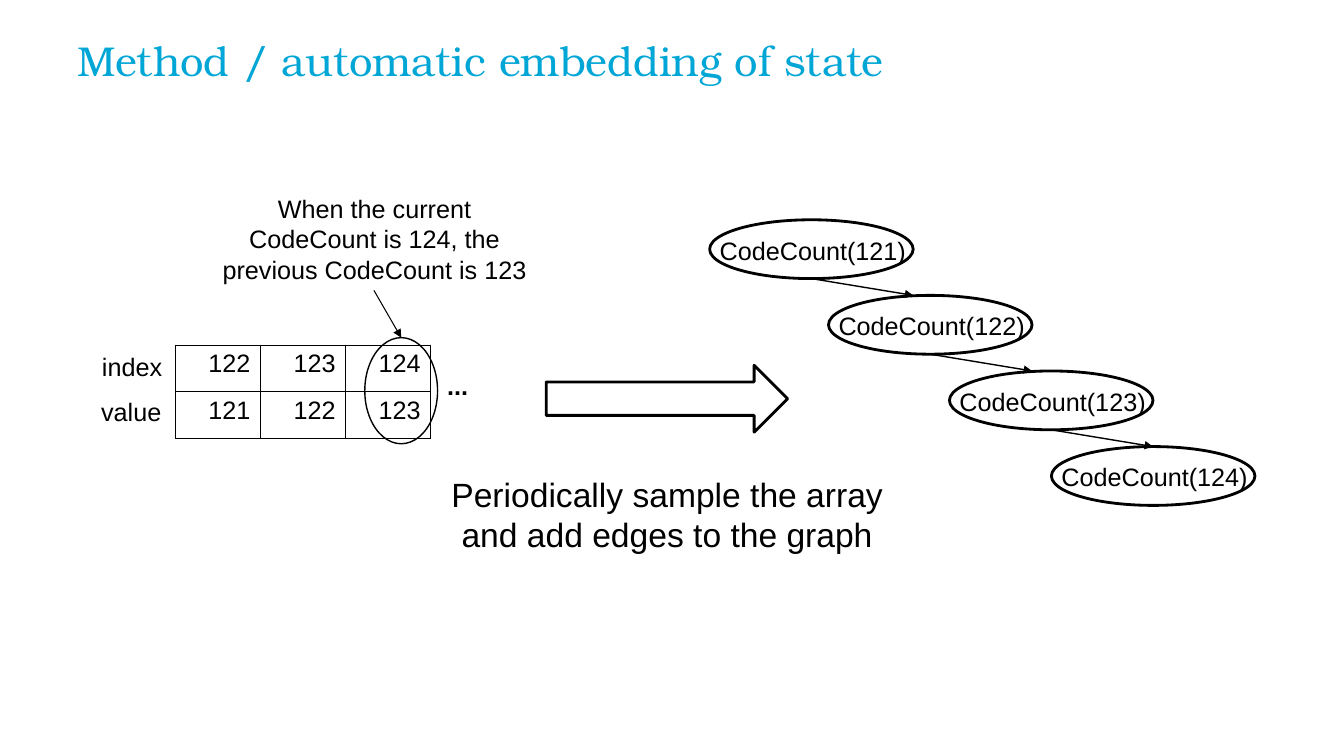
from dataclasses import dataclass
from itertools import pairwise

from lxml.etree import SubElement
from pptx import Presentation
from pptx.dml.color import RGBColor
from pptx.enum.shapes import MSO_CONNECTOR as Connector
from pptx.enum.shapes import MSO_SHAPE as Preset
from pptx.enum.text import MSO_ANCHOR as Anchor
from pptx.enum.text import MSO_AUTO_SIZE as AutoSize
from pptx.enum.text import PP_ALIGN as Align
from pptx.oxml.ns import qn
from pptx.slide import Slide
from pptx.text.text import TextFrame
from pptx.util import Pt


@dataclass(frozen=True)
class Theme:
    ink: RGBColor = RGBColor(0x00, 0x00, 0x00)
    paper: RGBColor = RGBColor(0xFF, 0xFF, 0xFF)
    accent: RGBColor = RGBColor(0x00, 0xA6, 0xD6)
    title_font: str = "TeX Gyre Bonum"
    text_font: str = "Arial"
    title_size: float = 29.8
    caption_size: float = 24
    label_size: float = 18


@dataclass(frozen=True)
class Box:
    left: float
    top: float
    width: float
    height: float

    def lengths(self) -> tuple[Pt, Pt, Pt, Pt]:
        return Pt(self.left), Pt(self.top), Pt(self.width), Pt(self.height)


@dataclass(frozen=True)
class Label:
    text: str
    box: Box
    size: float
    bold: bool = False


@dataclass(frozen=True)
class Outline:
    preset: Preset
    box: Box
    weight: float
    fill: RGBColor | None = None


@dataclass(frozen=True)
class Edge:
    start: tuple[float, float]
    end: tuple[float, float]
    weight: float


@dataclass(frozen=True)
class Node:
    count: int
    box: Box

    def label(self) -> Label:
        box = Box(self.box.left - 5.8, self.box.top + 7.2, 159, 29)
        return Label(f"CodeCount({self.count})", box, THEME.label_size)

    def edge_to(self, follower: "Node") -> Edge:
        box = self.box
        start = (box.left + box.width / 2, box.top + box.height)
        return Edge(start, (box.left + box.width, follower.box.top), 1)


THEME = Theme()
NODE_LEFTS = (506.9, 591.8, 678.2, 751)
NODES = [Node(121 + i, Box(left, 157 + 54 * i, 145.4, 42)) for i, left in enumerate(NODE_LEFTS)]
SAMPLES = (("122", "123", "124"), ("121", "122", "123"))
SAMPLE_BOX = Box(125.3, 246.5, 182.4, 66.8)

LABELS = (
    Label("When the current CodeCount is 124, the previous CodeCount is 123",
          Box(149, 134.6, 237, 72.7), THEME.label_size),
    Label("index", Box(62.6, 247.7, 63.4, 29), THEME.label_size),
    Label("value", Box(62, 279.6, 63.4, 29), THEME.label_size),
    Label("...", Box(308.2, 260.9, 37.4, 29), THEME.label_size, bold=True),
    Label("Periodically sample the array and add edges to the graph",
          Box(303, 334.8, 347, 65.5), THEME.caption_size),
)
STEP_ARROW = Outline(Preset.RIGHT_ARROW, Box(390.2, 260.9, 172.4, 47.8), 2, THEME.paper)
CURRENT_SAMPLE = Outline(Preset.OVAL, Box(260.6, 241.2, 52, 75.8), 1)
CALLOUT = Edge((267.1, 207.4), (286.6, 241.2), 0.75)


def write(frame: TextFrame, text: str, size: float, align: Align, bold: bool = False,
          name: str = THEME.text_font, color: RGBColor = THEME.ink) -> None:
    paragraph = frame.paragraphs[0]
    paragraph.alignment = align
    run = paragraph.add_run()
    run.text = text
    run.font.name = name
    run.font.size = Pt(size)
    run.font.bold = bold
    run.font.color.rgb = color


def set_title(slide: Slide, text: str) -> None:
    title = slide.shapes.title
    title.left, title.top, title.width, title.height = Box(55.4, 28.8, 848.2, 38.9).lengths()
    frame = title.text_frame
    frame.margin_left = frame.margin_top = frame.margin_right = frame.margin_bottom = Pt(0)
    frame.vertical_anchor = Anchor.TOP
    frame.auto_size = AutoSize.NONE
    write(frame, text, THEME.title_size, Align.LEFT,
          name=THEME.title_font, color=THEME.accent)
    frame.paragraphs[0].line_spacing = 0.9


def draw_label(slide: Slide, label: Label) -> None:
    frame = slide.shapes.add_textbox(*label.box.lengths()).text_frame
    frame.word_wrap = True
    frame.auto_size = AutoSize.SHAPE_TO_FIT_TEXT
    write(frame, label.text, label.size, Align.CENTER, label.bold)


def draw_outline(slide: Slide, outline: Outline) -> None:
    shape = slide.shapes.add_shape(outline.preset, *outline.box.lengths())
    shape.shadow.inherit = False
    if outline.fill is None:
        shape.fill.background()
    else:
        shape.fill.solid()
        shape.fill.fore_color.rgb = outline.fill
    shape.line.color.rgb = THEME.ink
    shape.line.width = Pt(outline.weight)


def draw_edge(slide: Slide, edge: Edge) -> None:
    points = (Pt(value) for value in (*edge.start, *edge.end))
    connector = slide.shapes.add_connector(Connector.STRAIGHT, *points)
    connector.line.color.rgb = THEME.ink
    connector.line.width = Pt(edge.weight)
    properties = connector.element.spPr
    SubElement(properties.find(qn("a:ln")), qn("a:tailEnd"), type="triangle")
    SubElement(properties, qn("a:effectLst"))


def draw_samples(slide: Slide) -> None:
    rows, columns = len(SAMPLES), len(SAMPLES[0])
    table = slide.shapes.add_table(rows, columns, *SAMPLE_BOX.lengths()).table
    table.first_row = table.horz_banding = False
    for column in table.columns:
        column.width = Pt(SAMPLE_BOX.width / columns)
    for row, values in enumerate(SAMPLES):
        for column, value in enumerate(values):
            cell = table.cell(row, column)
            write(cell.text_frame, value, THEME.label_size, Align.RIGHT)
            properties = cell._tc.get_or_add_tcPr()
            for side in ("a:lnL", "a:lnR", "a:lnT", "a:lnB"):
                border = SubElement(properties, qn(side), w=str(Pt(1)))
                paint = SubElement(border, qn("a:solidFill"))
                SubElement(paint, qn("a:srgbClr"), val=str(THEME.ink))
            cell.fill.background()


def main() -> None:
    deck = Presentation()
    deck.slide_width, deck.slide_height = Pt(960), Pt(540)
    slide = deck.slides.add_slide(deck.slide_layouts.get_by_name("Title Only"))
    set_title(slide, "Method / automatic embedding of state")
    for node in NODES:
        draw_label(slide, node.label())
        draw_outline(slide, Outline(Preset.OVAL, node.box, 2))
    for node, follower in pairwise(NODES):
        draw_edge(slide, node.edge_to(follower))
    draw_samples(slide)
    for label in LABELS:
        draw_label(slide, label)
    draw_outline(slide, STEP_ARROW)
    draw_outline(slide, CURRENT_SAMPLE)
    draw_edge(slide, CALLOUT)
    deck.save("out.pptx")


if __name__ == "__main__":
    main()
